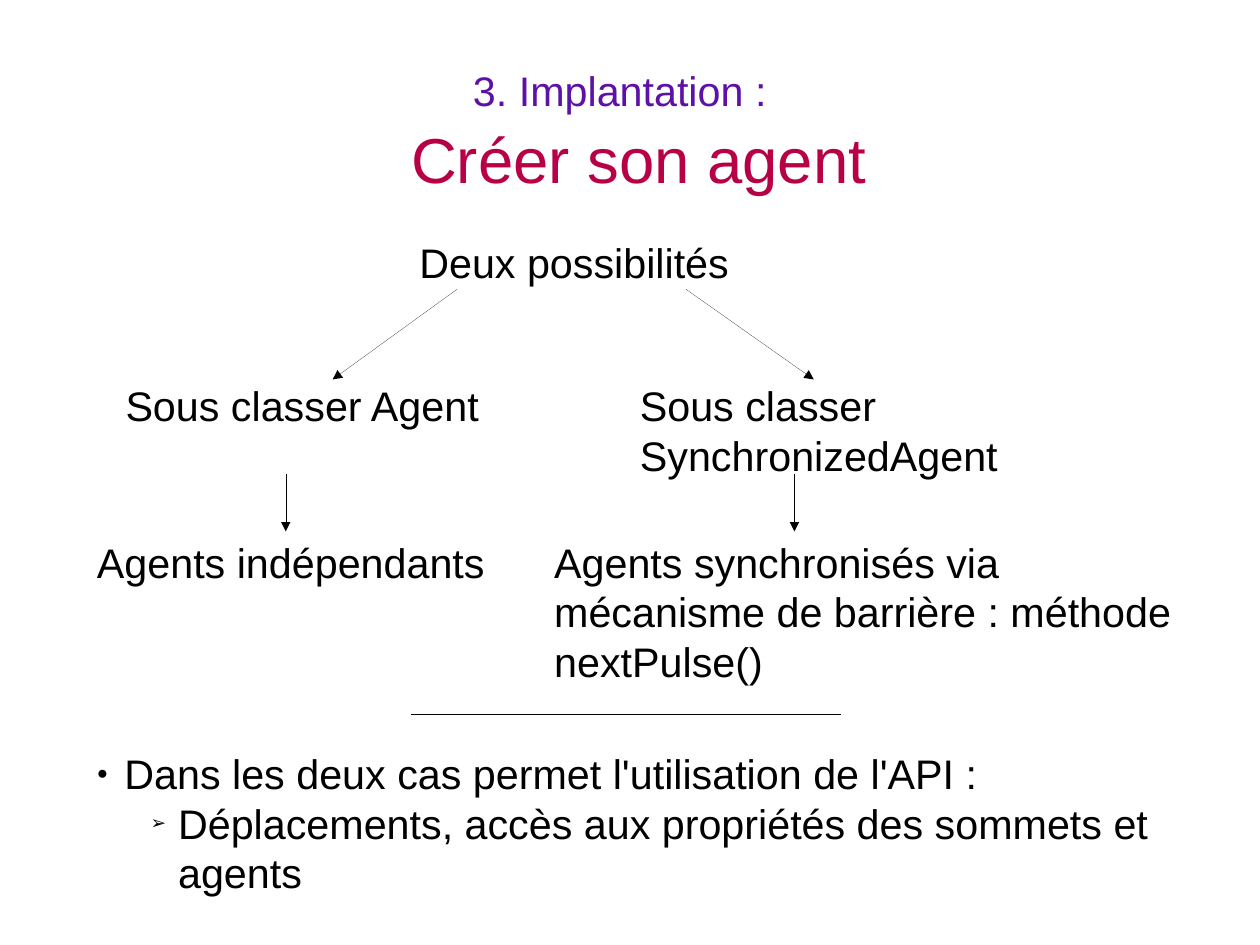
import pptx
import pptx.dml.color
import pptx.enum.shapes
import pptx.enum.text
import pptx.oxml
import pptx.oxml.ns
import pptx.util
from dataclasses import dataclass

Inches = pptx.util.Inches
Pt = pptx.util.Pt
RGB = pptx.dml.color.RGBColor.from_string
qn = pptx.oxml.ns.qn


@dataclass
class Theme:
    font: str = "Arial"
    ink: str = "000000"
    section: str = "5E11A6"
    heading: str = "B80047"
    body_size: int = 26
    heading_size: int = 40
    gap_size: int = 44
    hairline: float = 0.01


theme = Theme()


def style(font, size, color):
    font.name = theme.font
    font.size = Pt(size)
    font.color.rgb = RGB(color)


def add_text(left, top, width, height, lines):
    tf = s.shapes.add_textbox(Inches(left), Inches(top), Inches(width), Inches(height)).text_frame
    tf.word_wrap = True
    tf.text = "\n".join(lines)
    for p in tf.paragraphs:
        style(p.font, theme.body_size, theme.ink)
    return tf


# The page measures 28 by 21 centimetres
prs = pptx.Presentation()
prs.slide_width = Inches(28 / 2.54)
prs.slide_height = Inches(21 / 2.54)
s = prs.slides.add_slide(prs.slide_layouts[5])

# Title
title = s.shapes.title
title.left, title.top = Inches(0.55), Inches(0.33)
title.width, title.height = Inches(9.92), Inches(1.38)
tf = title.text_frame
tf.margin_left = tf.margin_top = tf.margin_right = tf.margin_bottom = 0
tf.vertical_anchor = pptx.enum.text.MSO_ANCHOR.MIDDLE
p = tf.paragraphs[0]
p.alignment = pptx.enum.text.PP_ALIGN.CENTER
for text, size, color in (
    ("3. Implantation :", theme.body_size, theme.section),
    (" ", theme.gap_size, theme.ink),
    (" Créer son agent", theme.heading_size, theme.heading),
):
    if color == theme.heading:
        p.add_line_break()
    r = p.add_run()
    r.text = text
    style(r.font, size, color)

# Decision tree
for left, top, width, height, text in (
    (3.57, 2.03, 3, 0.5, "Deux possibilités"),
    (1, 3.28, 3.5, 0.5, "Sous classer Agent"),
    (5.5, 3.28, 4, 0.91, "Sous classer SynchronizedAgent"),
    (0.75, 4.65, 3.75, 0.5, "Agents indépendants"),
    (4.75, 4.65, 5.75, 1.31, "Agents synchronisés via mécanisme de barrière : méthode nextPulse()"),
):
    add_text(left, top, width, height, [text])

# Arrows of the tree, then the separator
for x1, y1, x2, y2, arrow in (
    (4, 2.53, 2.91, 3.32, True),
    (6, 2.53, 7.12, 3.32, True),
    (2.5, 4.15, 2.5, 4.65, True),
    (6.95, 4.15, 6.95, 4.65, True),
    (3.6, 6.25, 7.35, 6.25, False),
):
    line = s.shapes.add_connector(
        pptx.enum.shapes.MSO_CONNECTOR.STRAIGHT, Inches(x1), Inches(y1), Inches(x2), Inches(y2))
    line.line.color.rgb = RGB(theme.ink)
    line.line.width = Pt(theme.hairline)
    if arrow:
        tail = pptx.oxml.parse_xml(f'<a:tailEnd {pptx.oxml.ns.nsdecls("a")} type="triangle"/>')
        line.line._get_or_add_ln().append(tail)
    sp_pr = line._element.spPr
    sp_pr.append(sp_pr.makeelement(qn("a:effectLst"), {}))

# Conclusion
conclusion = add_text(0.75, 6.5, 10, 1.5, [])
for level, (bullet, margin, text) in enumerate((
    ("●", 0.24, "Dans les deux cas permet l'utilisation de l'API :"),
    ("➢", 0.71, "Déplacements, accès aux propriétés des sommets et agents"),
)):
    p = conclusion.add_paragraph() if level else conclusion.paragraphs[0]
    p.text = text
    p.level = level
    p_pr = p._p.get_or_add_pPr()
    p_pr.set("marL", str(Inches(margin)))
    p_pr.set("indent", str(Inches(-0.24)))
    for old in p_pr.findall(qn("a:defRPr")):
        p_pr.remove(old)
    color = p_pr.makeelement(qn("a:buClr"), {})
    color.append(color.makeelement(qn("a:srgbClr"), {"val": theme.ink}))
    p_pr.append(color)
    for tag, attributes in (
        ("a:buSzPct", {"val": "45000"}),
        ("a:buFont", {"typeface": theme.font}),
        ("a:buChar", {"char": bullet}),
    ):
        p_pr.append(p_pr.makeelement(qn(tag), attributes))
    style(p.font, theme.body_size, theme.ink)

prs.save("out.pptx")
